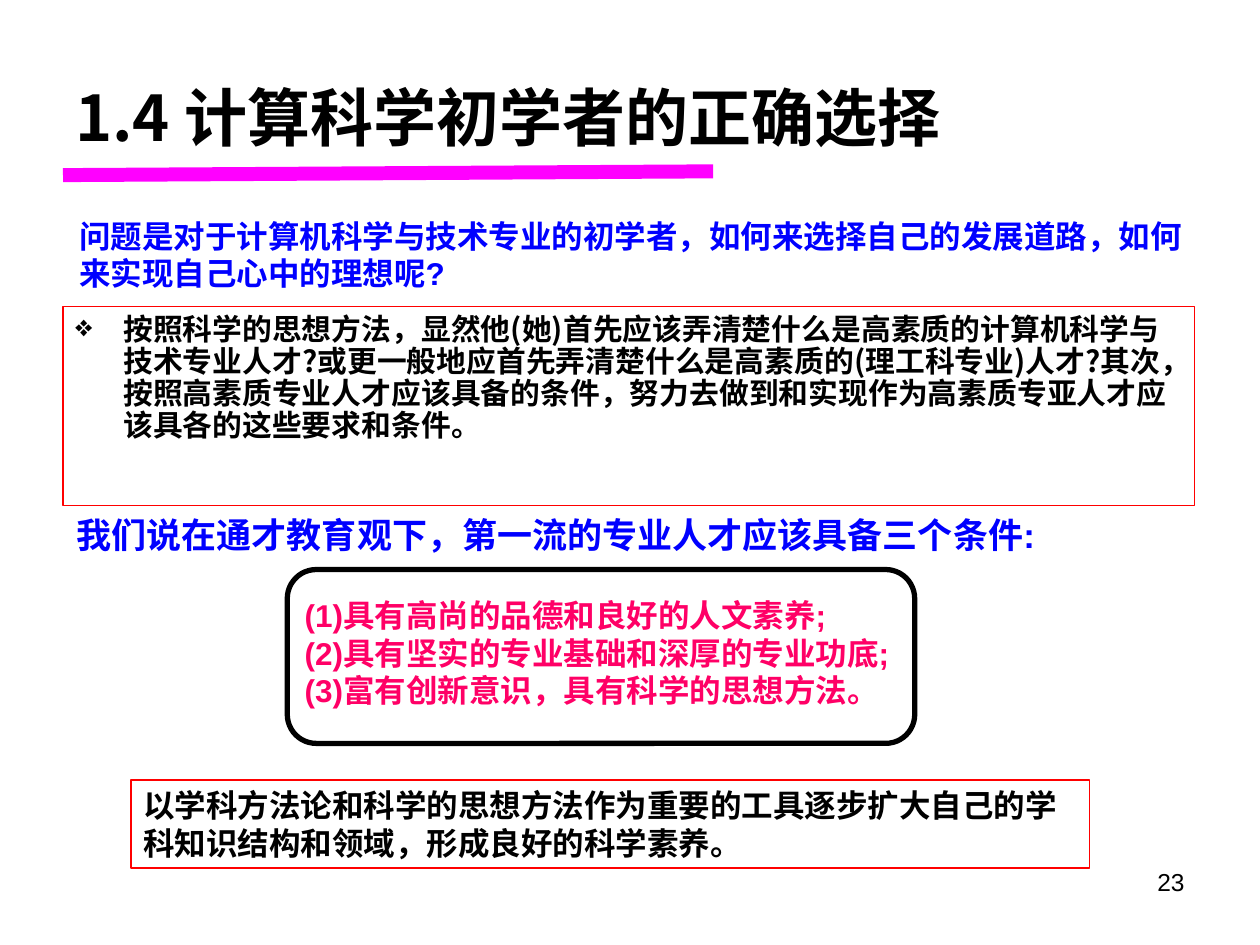
"""Build the slide on the right choice for beginners in computing science."""
import dataclasses

import lxml.etree
import pptx
import pptx.dml.color
import pptx.enum.shapes
import pptx.enum.text
import pptx.oxml.ns
import pptx.util

Inches = pptx.util.Inches
Pt = pptx.util.Pt
Align = pptx.enum.text.PP_ALIGN
Anchor = pptx.enum.text.MSO_ANCHOR
AutoSize = pptx.enum.text.MSO_AUTO_SIZE
Shapes = pptx.enum.shapes.MSO_SHAPE


@dataclasses.dataclass(frozen=True)
class Theme:
    latin: str = "Arial"
    chinese: str = "Noto Sans CJK SC"
    black: str = "000000"
    blue: str = "0000FF"
    pink: str = "FF0066"
    magenta: str = "FF00FF"
    red: str = "FF0000"
    title: int = 36
    lead: int = 20
    text: int = 18
    body: int = 17
    number: int = 14


def color(value):
    return pptx.dml.color.RGBColor.from_string(value)


def apply_format(target, values):
    for name, value in values.items():
        setattr(target, name, value)


def add_element(parent, tag, **attributes):
    return lxml.etree.SubElement(parent, pptx.oxml.ns.qn(tag), attributes)


class SlideBuilder:
    def __init__(self, slide, theme):
        self.slide = slide
        self.theme = theme

    def text(self, box, lines, size, ink=None, font=None, bold=True, bullet=None,
             frame_format=None, paragraph_format=None):
        shape = self.slide.shapes.add_textbox(*map(Inches, box))
        frame = shape.text_frame
        apply_format(frame, {"word_wrap": True, **(frame_format or {})})
        for index, line in enumerate(lines):
            paragraph = frame.paragraphs[0] if index == 0 else frame.add_paragraph()
            apply_format(paragraph, paragraph_format or {})
            if bullet:
                self.bullet(paragraph, bullet)
            run = paragraph.add_run()
            run.text = line
            apply_format(run.font, {"name": font or self.theme.latin,
                                    "size": Pt(size), "bold": bold})
            run.font.color.rgb = color(ink or self.theme.black)
            add_element(run._r.get_or_add_rPr(), "a:ea", typeface=self.theme.chinese)

    def bullet(self, paragraph, character, indent=0.38):
        properties = paragraph._p.get_or_add_pPr()
        properties.set("marL", str(Inches(indent)))
        properties.set("indent", str(-Inches(indent)))
        bullet_color = add_element(properties, "a:buClr")
        add_element(bullet_color, "a:srgbClr", val=self.theme.black)
        add_element(properties, "a:buChar", char=character)

    def outline(self, kind, box, ink, width):
        shape = self.slide.shapes.add_shape(kind, *map(Inches, box))
        shape.shadow.inherit = False
        shape.fill.background()
        shape.line.color.rgb = color(ink)
        shape.line.width = Pt(width)

    def line(self, start, end, ink, width):
        connector = self.slide.shapes.add_connector(
            pptx.enum.shapes.MSO_CONNECTOR.STRAIGHT, *map(Inches, start + end))
        connector.line.color.rgb = color(ink)
        connector.line.width = Pt(width)
        add_element(connector._element.spPr, "a:effectLst")


def main():
    presentation = pptx.Presentation()
    presentation.slide_width = Inches(10)
    presentation.slide_height = Inches(7.5)
    theme = Theme()
    builder = SlideBuilder(presentation.slides.add_slide(presentation.slide_layouts[6]), theme)
    grow = {"auto_size": AutoSize.SHAPE_TO_FIT_TEXT}
    unwrapped = {**grow, "word_wrap": False}
    advice_box = (1.04, 6.19, 7.61, 0.7)

    builder.text((0.5, 0.3, 9, 1.25), ["1.4 计算科学初学者的正确选择"], theme.title,
                 font=theme.chinese, frame_format={"vertical_anchor": Anchor.MIDDLE})
    builder.text(
        (0.5, 2.45, 9, 1.27),
        ["按照科学的思想方法，显然他(她)首先应该弄清楚什么是高素质的计算机科学与技术专业人才?"
         "或更一般地应首先弄清楚什么是高素质的(理工科专业)人才?"
         "其次，按照高素质专业人才应该具备的条件，努力去做到和实现作为高素质专亚人才"
         "应该具各的这些要求和条件。"],
        theme.body, font=theme.chinese, bullet="❖", paragraph_format={"line_spacing": 0.9})
    builder.line((0.5, 1.39), (5.66, 1.36), theme.magenta, 8)
    builder.text((0.53, 1.67, 8.95, 0.7),
                 ["问题是对于计算机科学与技术专业的初学者，如何来选择自己的发展道路，如何",
                  "来实现自己心中的理想呢?"],
                 theme.text, theme.blue, frame_format=unwrapped)
    builder.outline(Shapes.RECTANGLE, (0.5, 2.43, 8.98, 1.58), theme.red, 0.75)
    builder.text((0.51, 4.03, 7.87, 0.44),
                 ["我们说在通才教育观下，第一流的专业人才应该具备三个条件:"],
                 theme.lead, theme.blue, frame_format=unwrapped)
    builder.text((2.32, 4.68, 4.96, 1),
                 ["(1)具有高尚的品德和良好的人文素养;",
                  "(2)具有坚实的专业基础和深厚的专业功底;",
                  "(3)富有创新意识，具有科学的思想方法。"],
                 theme.text, theme.pink, frame_format=unwrapped)
    builder.outline(Shapes.ROUNDED_RECTANGLE, (2.28, 4.52, 4.98, 1.38), theme.black, 3)
    builder.text(advice_box,
                 ["以学科方法论和科学的思想方法作为重要的工具逐步扩大自己的学科知识结构和领域，"
                  "形成良好的科学素养。"],
                 theme.text, frame_format=grow)
    builder.outline(Shapes.RECTANGLE, advice_box, theme.red, 0.75)
    builder.text((7.17, 6.83, 2.33, 0.52), ["23"], theme.number, bold=False,
                 paragraph_format={"alignment": Align.RIGHT})
    presentation.save("out.pptx")


if __name__ == "__main__":
    main()
